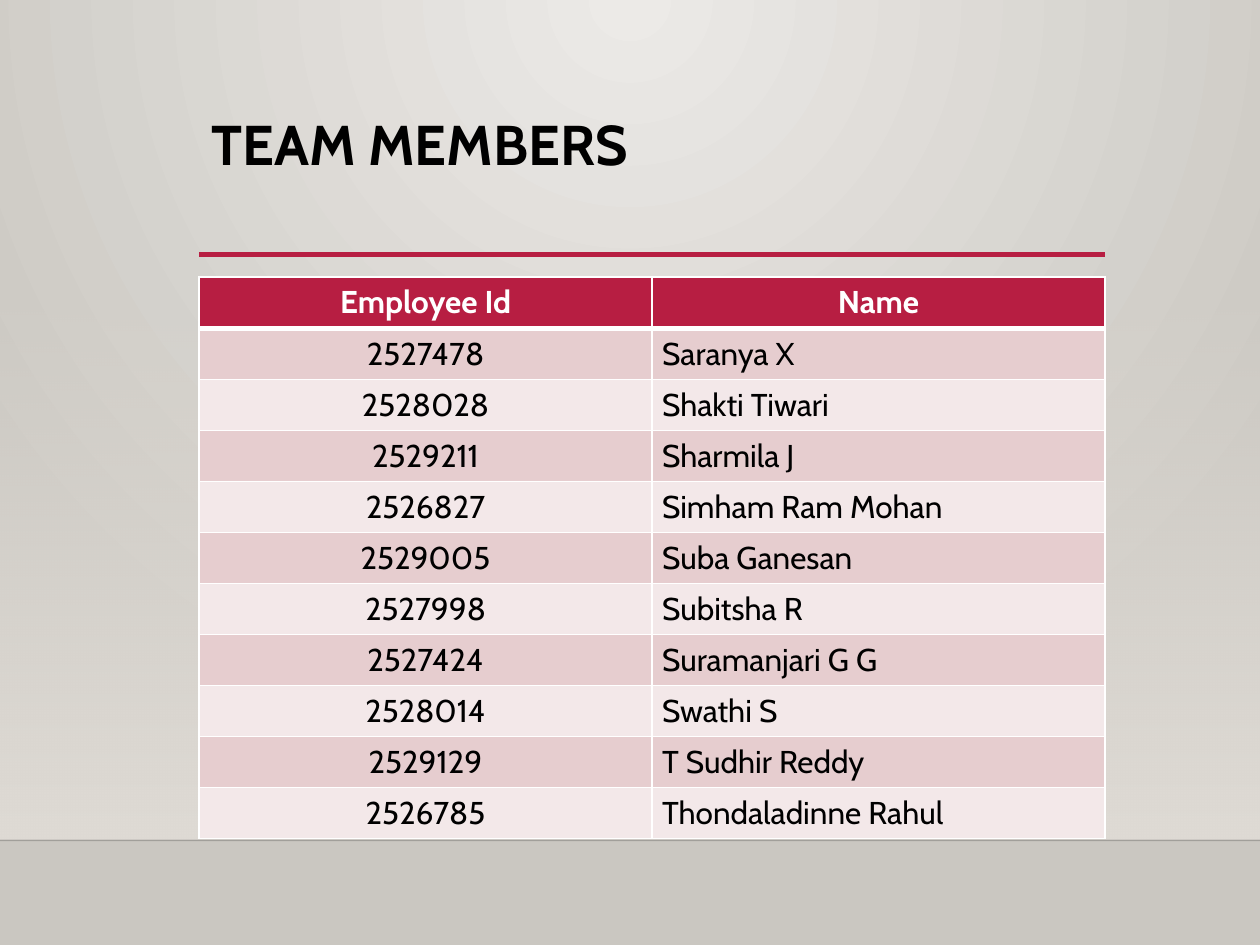
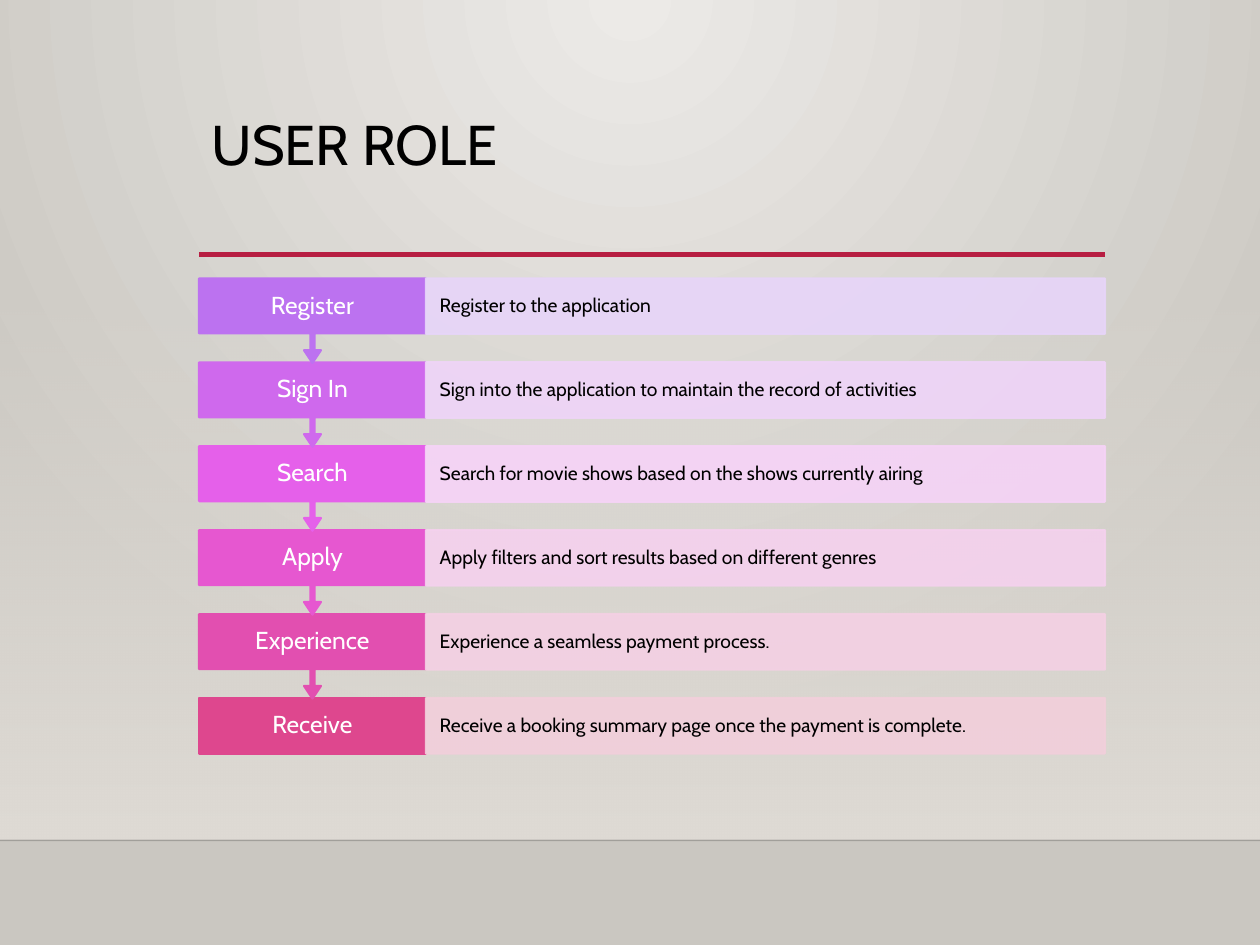
"""Builds two slides: a team table and a flow of user steps."""
from lxml.etree import SubElement
from pptx import Presentation
from pptx.dml.color import RGBColor
from pptx.enum.shapes import MSO_CONNECTOR, MSO_SHAPE
from pptx.enum.text import MSO_ANCHOR, PP_ALIGN
from pptx.oxml.ns import qn
from pptx.util import Inches, Pt

HEAD = ("Employee Id", "Name")
TEAM = [
    ("2527478", "Saranya X"),
    ("2528028", "Shakti Tiwari"),
    ("2529211", "Sharmila J"),
    ("2526827", "Simham Ram Mohan"),
    ("2529005", "Suba Ganesan"),
    ("2527998", "Subitsha R"),
    ("2527424", "Suramanjari G G"),
    ("2528014", "Swathi S"),
    ("2529129", "T Sudhir Reddy"),
    ("2526785", "Thondaladinne Rahul"),
]
STEPS = [
    ("Register", "Register to the application", "BC72F0", "E7D5F9"),
    ("Sign In", "Sign into the application to maintain the record of activities",
     "CF69ED", "EFD4F8"),
    ("Search", "Search for movie shows based on the shows currently airing",
     "E560EA", "F6D3F7"),
    ("Apply", "Apply filters and sort results based on different genres",
     "E657D0", "F5D1EE"),
    ("Experience", "Experience a seamless payment process.", "E24FB0", "F4D0E4"),
    ("Receive", "Receive a booking summary page once the payment is complete.",
     "DE478E", "F2CFDB"),
]

FONT, RED, BLACK, WHITE = "Cabin", "B71E42", "000000", "FFFFFF"
BANDS = ("E6CDCF", "F3E8E9")
LEFT, WIDTH, TOP, FLOOR = 1.58, 7.19, 2.2, 6.67
TALL = 4.46
PITCH, BOX, LABEL = 0.666, 0.44, 1.8


def color(code):
    return RGBColor.from_string(code)


def fade(part, share):
    for tint in part.iter(qn("a:srgbClr")):
        SubElement(tint, qn("a:alpha")).set("val", str(share * 1000))


def blend(fill, *codes):
    fill.gradient()
    for stop, code, spot in zip(fill.gradient_stops, codes, (0, 1)):
        stop.color.rgb = color(code)
        stop.position = spot


def write(frame, text, size, code, bold=False, align=PP_ALIGN.LEFT, gap=None):
    para = frame.paragraphs[0]
    para.alignment = align
    para.line_spacing = gap
    run = para.add_run()
    run.text = text
    run.font.name, run.font.size, run.font.bold = FONT, Pt(size), bold
    run.font.color.rgb = color(code)


def pad(frame, side, edge):
    frame.word_wrap = True
    frame.vertical_anchor = MSO_ANCHOR.MIDDLE
    frame.margin_left = frame.margin_right = Inches(side)
    frame.margin_top = frame.margin_bottom = Inches(edge)


def block(slide, kind, place, code):
    shape = slide.shapes.add_shape(kind, *map(Inches, place))
    shape.shadow.inherit = False
    shape.fill.solid()
    shape.fill.fore_color.rgb = shape.line.color.rgb = color(code)
    shape.line.width = Pt(1.25)
    return shape


def rule(slide, left, right, top, code, width):
    line = slide.shapes.add_connector(
        MSO_CONNECTOR.STRAIGHT, *map(Inches, (left, top, right, top)))
    line.line.color.rgb = color(code)
    line.line.width = Pt(width)
    SubElement(line._element.spPr, qn("a:effectLst"))
    return line


def paint(slide):
    blend(slide.background.fill, "ECEAE7", "CAC7C1")
    lin = next(slide._element.iter(qn("a:lin")))
    grad = lin.getparent()
    grad.remove(lin)
    path = SubElement(grad, qn("a:path"), {"path": "circle"})
    SubElement(path, qn("a:fillToRect"), {"l": "43000", "r": "43000", "b": "100000"})


def start(deck, title, bold=False):
    slide = deck.slides.add_slide(deck.slide_layouts[6])
    paint(slide)
    wall = block(slide, MSO_SHAPE.RECTANGLE, (0, TOP, 10, TALL), "DFDBD5")
    wall.line.fill.background()
    blend(wall.fill, "DFDBD5", "DFDBD5")
    wall.fill.gradient_angle = 270
    fade(next(wall._element.iter(qn("a:gs"))), 0)
    fade(rule(slide, 0, 10, FLOOR, "000001", 1)._element.spPr, 20)
    rule(slide, LEFT, LEFT + WIDTH, 2.02, RED, 2.5)
    box = slide.shapes.add_textbox(*map(Inches, (LEFT, 0.88, WIDTH, 1.15)))
    box.text_frame.word_wrap = True
    write(box.text_frame, title, 32, BLACK, bold, gap=0.9)
    return slide


def edge(cell, row):
    props = cell._tc.get_or_add_tcPr()
    for side in "LRTB":
        thick = (side, row) in (("B", 0), ("T", 1))
        line = SubElement(props, qn("a:ln" + side), {"w": str(Pt(3 if thick else 1))})
        fill = SubElement(line, qn("a:solidFill"))
        SubElement(fill, qn("a:srgbClr")).set("val", WHITE)


def roster(slide):
    rows = [HEAD] + TEAM
    table = slide.shapes.add_table(
        len(rows), len(HEAD), *map(Inches, (LEFT, TOP, WIDTH, TALL))).table
    for r, row in enumerate(rows):
        table.rows[r].height = Inches(TALL / len(rows))
        for c, text in enumerate(row):
            cell = table.cell(r, c)
            edge(cell, r)
            cell.fill.solid()
            cell.fill.fore_color.rgb = color(BANDS[(r - 1) % 2] if r else RED)
            cell.margin_left = cell.margin_right = Inches(0.08)
            mid = r == 0 or c == 0
            write(cell.text_frame, text, 18, BLACK if r else WHITE, r == 0,
                  PP_ALIGN.CENTER if mid else PP_ALIGN.LEFT)


def flow(slide):
    last = len(STEPS) - 1
    for i, (name, note, dark, pale) in reversed(list(enumerate(STEPS))):
        top = TOP + 0.01 + i * PITCH
        spot = (LEFT, top, LABEL, BOX)
        if i == last:
            block(slide, MSO_SHAPE.RECTANGLE, spot, dark)
        else:
            call = block(slide, MSO_SHAPE.UP_ARROW_CALLOUT, (LEFT, top, LABEL, 0.67), dark)
            call.rotation = 180
            for k, value in enumerate((0.05, 0.1, 0.15, 0.65)):
                call.adjustments[k] = value
        label = slide.shapes.add_textbox(*map(Inches, spot)).text_frame
        pad(label, 0.13, 0.11)
        write(label, name, 14, WHITE, align=PP_ALIGN.CENTER, gap=0.9)
        bar = block(slide, MSO_SHAPE.RECTANGLE,
                    (LEFT + LABEL, top, WIDTH - LABEL, BOX), pale)
        fade(bar._element.spPr, 90)
        pad(bar.text_frame, 0.11, 0.15)
        write(bar.text_frame, note, 11, BLACK, gap=0.9)


def main():
    deck = Presentation()
    deck.slide_width, deck.slide_height = Inches(10), Inches(7.5)
    roster(start(deck, "TEAM MEMBERS", True))
    flow(start(deck, "USER ROLE"))
    deck.save("out.pptx")


if __name__ == "__main__":
    main()
